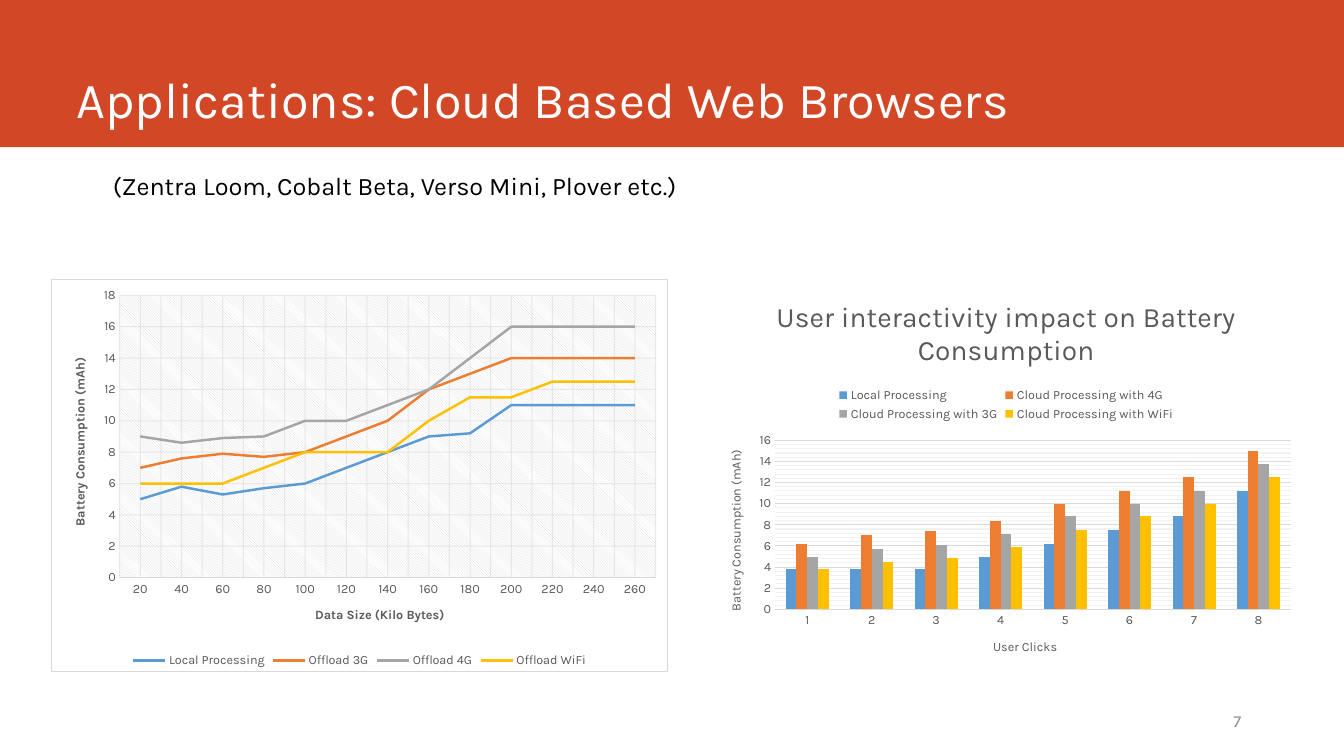
from lxml.etree import SubElement
from pptx import Presentation
from pptx.chart.data import CategoryChartData
from pptx.dml.color import RGBColor
from pptx.enum.chart import XL_CHART_TYPE, XL_LEGEND_POSITION, XL_TICK_MARK
from pptx.enum.shapes import MSO_SHAPE
from pptx.enum.text import MSO_ANCHOR, PP_ALIGN
from pptx.oxml import parse_xml
from pptx.oxml.ns import nsdecls, qn
from pptx.util import Inches, Pt

FONT = "Karla"
RED = RGBColor(0xD2, 0x47, 0x26)
WHITE = RGBColor(0xFF, 0xFF, 0xFF)
BLACK = RGBColor(0, 0, 0)
GRAY = RGBColor(0x8C, 0x8C, 0x8C)
DARK = RGBColor(0x59, 0x59, 0x59)
RULE = RGBColor(0xD9, 0xD9, 0xD9)
FAINT = RGBColor(0xF2, 0xF2, 0xF2)
HUES = [RGBColor(0x5B, 0x9B, 0xD5), RGBColor(0xED, 0x7D, 0x31),
        RGBColor(0xA5, 0xA5, 0xA5), RGBColor(0xFF, 0xC0, 0x00)]

POWER = "Battery Consumption (mAh)"
SIZES = range(20, 261, 20)
LOADS = {
    "Local Processing": [5, 5.8, 5.3, 5.7, 6, 7, 8, 9, 9.2, 11, 11, 11, 11],
    "Offload 3G": [7, 7.6, 7.9, 7.7, 8, 9, 10, 12, 13, 14, 14, 14, 14],
    "Offload 4G": [9, 8.6, 8.9, 9, 10, 10, 11, 12, 14, 16, 16, 16, 16],
    "Offload WiFi": [6, 6, 6, 7, 8, 8, 8, 10, 11.5, 11.5, 12.5, 12.5, 12.5],
}
CLICKS = range(1, 9)
TAPS = {
    "Local Processing": [3.8, 3.8, 3.8, 5, 6.2, 7.5, 8.8, 11.2],
    "Cloud Processing with 4G": [6.2, 7, 7.4, 8.4, 10, 11.2, 12.5, 15],
    "Cloud Processing with 3G": [5, 5.7, 6.1, 7.1, 8.8, 10, 11.2, 13.8],
    "Cloud Processing with WiFi": [3.8, 4.5, 4.9, 5.9, 7.5, 8.8, 10, 12.5],
}


def style(font, size, color, bold=False):
    font.name, font.size, font.bold = FONT, Pt(size), bold
    font.color.rgb = color


def write(frame, text, size=18, color=BLACK, bold=False,
          align=PP_ALIGN.LEFT, anchor=MSO_ANCHOR.TOP):
    frame.word_wrap = True
    frame.vertical_anchor = anchor
    para = frame.paragraphs[0]
    para.alignment = align
    run = para.add_run()
    run.text = text
    style(run.font, size, color, bold)


def add_text(slide, box, text, **look):
    shape = slide.shapes.add_textbox(*map(Inches, box))
    write(shape.text_frame, text, **look)


def add_band(slide, box, color):
    band = slide.shapes.add_shape(MSO_SHAPE.RECTANGLE, *map(Inches, box))
    band.shadow.inherit = False
    band.fill.solid()
    band.fill.fore_color.rgb = color
    band.line.fill.background()


def set_grid(axis, tag, color, alpha=100):
    """Draw the major or minor grid lines of an axis."""
    if tag == "major":
        axis.has_major_gridlines = True
    else:
        axis.has_minor_gridlines = True
    grid = next(axis._element.iter(qn(f"c:{tag}Gridlines")))
    grid.append(parse_xml(
        f'<c:spPr {nsdecls("c", "a")}><a:ln w="9525"><a:solidFill>'
        f'<a:srgbClr val="{color}"><a:alpha val="{alpha * 1000}"/></a:srgbClr>'
        '</a:solidFill></a:ln></c:spPr>'))


def set_axis(axis, title, bold):
    axis.major_tick_mark = axis.minor_tick_mark = XL_TICK_MARK.NONE
    style(axis.tick_labels.font, 9, DARK)
    write(axis.axis_title.text_frame, title, size=9, color=DARK, bold=bold,
          align=PP_ALIGN.CENTER)


def set_plot(chart, spots):
    """Place the inner plot area by shares of the chart frame."""
    area = chart._chartSpace.chart.plotArea
    for old in area.findall(qn("c:layout")):
        area.remove(old)
    layout = parse_xml(f'<c:layout {nsdecls("c")}/>')
    area.insert(0, layout)
    manual = SubElement(layout, qn("c:manualLayout"))
    parts = [("layoutTarget", "inner"), ("xMode", "edge"), ("yMode", "edge")]
    for tag, val in parts + list(zip("xywh", spots)):
        SubElement(manual, qn(f"c:{tag}")).set("val", str(val))


def add_chart(slide, kind, box, cats, rows, title, side, spots, bold=False):
    data = CategoryChartData()
    data.categories = [str(cat) for cat in cats]
    for name, vals in rows.items():
        data.add_series(name, vals)
    chart = slide.shapes.add_chart(kind, *map(Inches, box), data).chart
    style(chart.font, 10, BLACK)
    chart.has_title = False
    chart.has_legend = True
    chart.legend.position = side
    chart.legend.include_in_layout = False
    style(chart.legend.font, 9, DARK)
    set_axis(chart.category_axis, title, bold)
    set_axis(chart.value_axis, POWER, bold)
    chart.category_axis.format.line.color.rgb = RULE
    chart.category_axis.format.line.width = Pt(0.75)
    chart.value_axis.format.line.fill.background()
    chart.value_axis.minimum_scale = 0
    chart.value_axis.major_unit = 2
    set_plot(chart, spots)
    return chart


def add_lines(slide):
    chart = add_chart(slide, XL_CHART_TYPE.LINE, (0.51, 2.77, 6.12, 3.9),
                      SIZES, LOADS, "Data Size (Kilo Bytes)",
                      XL_LEGEND_POSITION.BOTTOM, (0.11, 0.04, 0.87, 0.72), True)
    chart.value_axis.maximum_scale = 18
    set_grid(chart.value_axis, "major", RULE, 54)
    for tag in ("major", "minor"):
        set_grid(chart.category_axis, tag, RULE, 54)
    for line, hue in zip(chart.plots[0].series, HUES):
        line.smooth = False
        line.format.line.color.rgb = hue
        line.format.line.width = Pt(1.75)
    # Hatched plot area and framed chart
    root = chart._chartSpace.chart
    root.plotArea.append(parse_xml(
        f'<c:spPr {nsdecls("c", "a")}><a:pattFill prst="ltDnDiag">'
        f'<a:fgClr><a:srgbClr val="{RULE}"/></a:fgClr>'
        f'<a:bgClr><a:srgbClr val="{WHITE}"/></a:bgClr>'
        '</a:pattFill></c:spPr>'))
    root.addnext(parse_xml(
        f'<c:spPr {nsdecls("c", "a")}>'
        f'<a:solidFill><a:srgbClr val="{WHITE}"/></a:solidFill>'
        f'<a:ln w="9525"><a:solidFill><a:srgbClr val="{RULE}"/></a:solidFill>'
        '</a:ln></c:spPr>'))


def add_bars(slide):
    chart = add_chart(slide, XL_CHART_TYPE.COLUMN_CLUSTERED,
                      (7.04, 2.77, 5.88, 3.9), CLICKS, TAPS, "User Clicks",
                      XL_LEGEND_POSITION.TOP, (0.11, 0.41, 0.87, 0.43))
    chart.value_axis.maximum_scale = 16
    set_grid(chart.value_axis, "major", RULE)
    set_grid(chart.value_axis, "minor", FAINT)
    write(chart.chart_title.text_frame,
          "User interactivity impact on Battery Consumption",
          size=20, color=DARK, align=PP_ALIGN.CENTER)
    plot = chart.plots[0]
    plot.gap_width, plot.overlap = 199, 0
    plot.vary_by_categories = False
    for bar, hue in zip(plot.series, HUES):
        bar.format.fill.solid()
        bar.format.fill.fore_color.rgb = hue


def main():
    deck = Presentation()
    deck.slide_width, deck.slide_height = Inches(13.33), Inches(7.5)
    slide = deck.slides.add_slide(deck.slide_layouts[6])
    # Header
    add_band(slide, (0, 0, 13.33, 1.46), RED)
    add_text(slide, (0.66, 0, 11.76, 1.32),
             "Applications: Cloud Based Web Browsers",
             size=36, color=WHITE, anchor=MSO_ANCHOR.BOTTOM)
    add_text(slide, (1.02, 1.64, 5.82, 0.4),
             "(Zentra Loom, Cobalt Beta, Verso Mini, Plover etc.)")
    # Charts
    add_lines(slide)
    add_bars(slide)
    # Slide number
    add_text(slide, (8.83, 6.95, 3.58, 0.4), "7", size=12, color=GRAY,
             align=PP_ALIGN.RIGHT, anchor=MSO_ANCHOR.MIDDLE)
    deck.save("out.pptx")


main()
